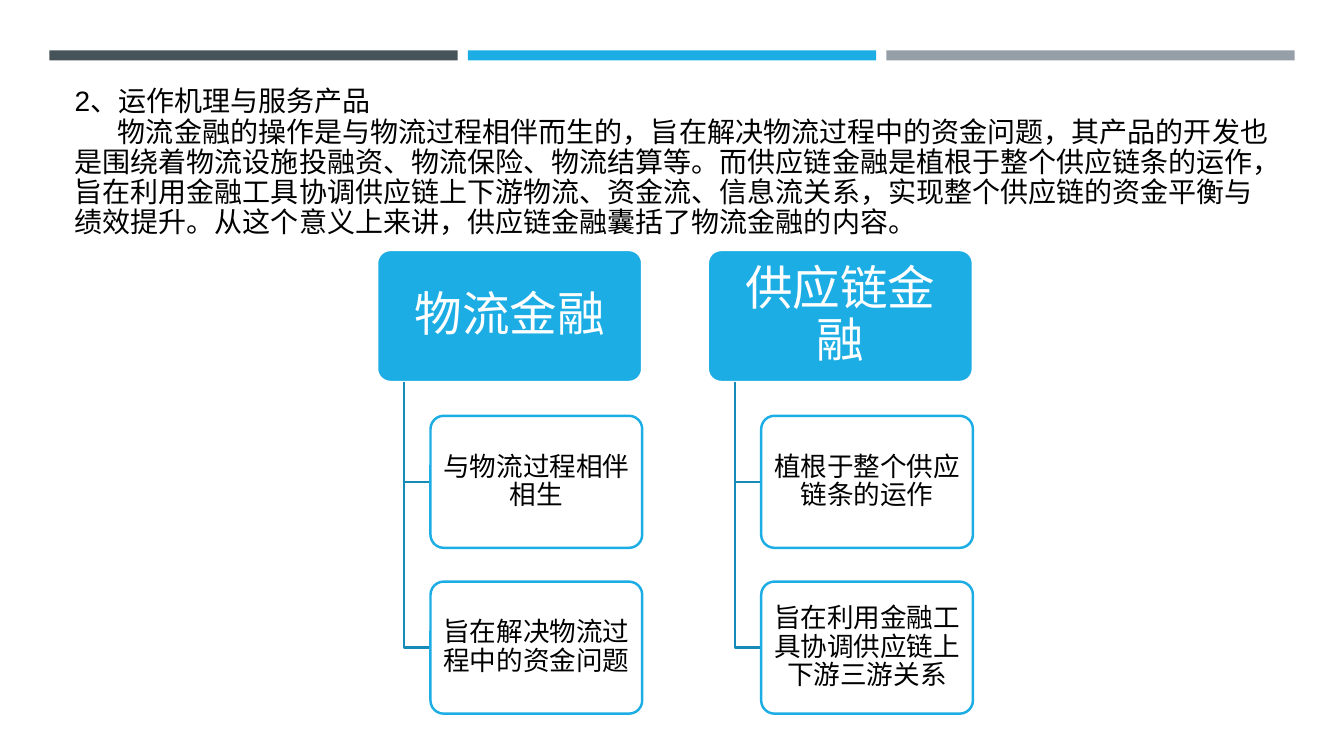
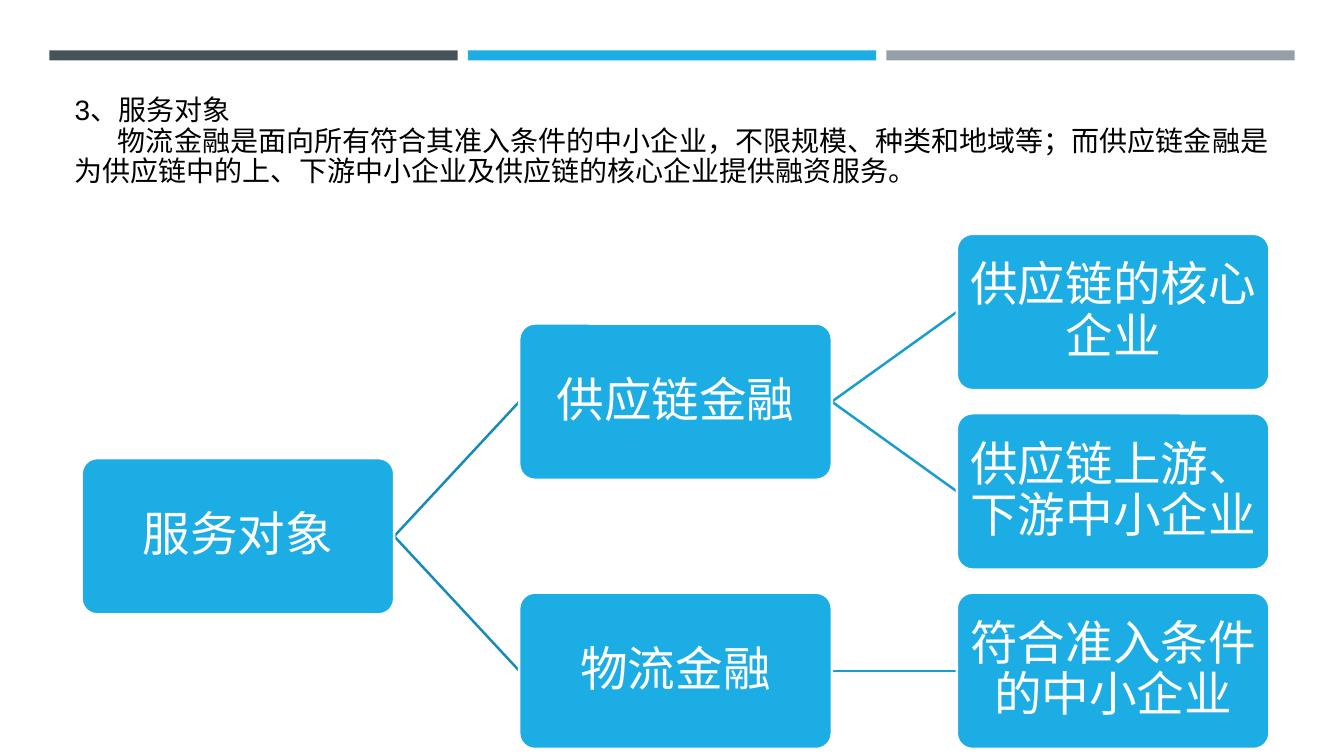
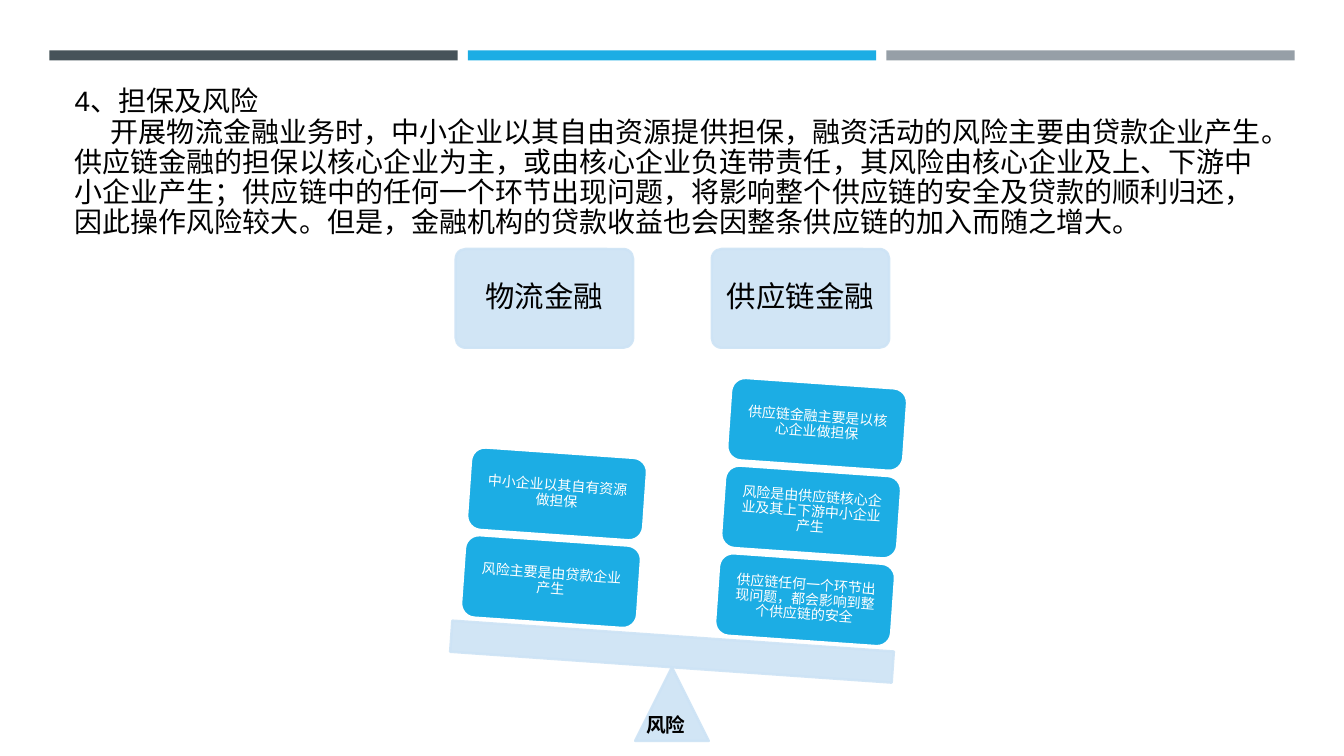
from dataclasses import dataclass

from lxml import etree
from pptx import Presentation
from pptx import util as u
from pptx.dml.color import RGBColor
from pptx.enum import lang, shapes, text
from pptx.oxml.ns import qn

WIDE, HIGH = 13.33, 7.5
BLUE, DARK, GRAY, PALE = "1CADE4", "465359", "969FA7", "CDE3F5"
DEEP, MID, WHITE, BLACK = "168BB7", "199DCF", "FFFFFF", "000000"
RULE = 1.75
KIND = shapes.MSO_SHAPE


@dataclass(frozen=True)
class Style:
    fill: str
    edge: str
    ink: str = WHITE
    size: int = 34
    inset: float = 0.08
    alpha: int = 100
    edge_alpha: int = 100
    round: float = 0.1
    turn: float = 0


@dataclass(frozen=True)
class Node:
    col: int
    row: float
    words: str
    kids: tuple = ()


HEAD = Style(BLUE, WHITE, inset=0.11)
ITEM = Style(WHITE, BLUE, BLACK, 19, alpha=90)
LEAF = Style(BLUE, WHITE, inset=0.07)
PAN = Style(PALE, PALE, BLACK, 21, inset=0.12, alpha=90, edge_alpha=90)
BEAM = Style(PALE, PALE, alpha=90, edge_alpha=90, turn=4)
LOAD = Style(BLUE, WHITE, size=10, round=0.17, turn=4)

GROUPS = (
    ("物流金融", ("与物流过程相伴相生", "旨在解决物流过程中的资金问题")),
    ("供应链金融", ("植根于整个供应链条的运作", "旨在利用金融工具协调供应链上下游三游关系")),
)

TREE = Node(0, 1.25, "服务对象", (
    Node(1, 0.5, "供应链金融", (
        Node(2, 0, "供应链的核心企业"),
        Node(2, 1, "供应链上游、下游中小企业"),
    )),
    Node(1, 2, "物流金融", (Node(2, 2, "符合准入条件的中小企业"),)),
))

STACKS = (
    ("物流金融", 5.36, ("风险主要是由贷款企业产生", "中小企业以其自有资源做担保")),
    ("供应链金融", 5.54, ("供应链任何一个环节出现问题，都会影响到整个供应链的安全",
                      "风险是由供应链核心企业及其上下游中小企业产生",
                      "供应链金融主要是以核心企业做担保")),
)


def paint(fill, tone: str, alpha: int = 100) -> None:
    fill.solid()
    fill.fore_color.rgb = RGBColor.from_string(tone)
    if alpha < 100:
        for node in fill._xPr.iter(qn("a:srgbClr")):
            if node.getparent().getparent() is fill._xPr:
                etree.SubElement(node, qn("a:alpha")).set("val", str(alpha * 1000))


def write(para, words: str, size: int, tone: str, font: str = "Karla", bold: bool = False) -> None:
    run = para.add_run()
    run.text = words
    face = run.font
    face.name, face.size, face.bold = font, u.Pt(size), bold
    face.language_id = lang.MSO_LANGUAGE_ID.SIMPLIFIED_CHINESE
    paint(face.fill, tone)


def pad(frame, inset: float) -> None:
    frame.margin_left = frame.margin_right = u.Inches(inset)
    frame.margin_top = frame.margin_bottom = u.Inches(inset)


def box(slide, kind, at: tuple, style: Style, words: str = ""):
    shape = slide.shapes.add_shape(kind, *map(u.Inches, at))
    shape.shadow.inherit = False
    shape.rotation = style.turn
    if kind == KIND.ROUNDED_RECTANGLE:
        shape.adjustments[0] = style.round
    paint(shape.fill, style.fill, style.alpha)
    paint(shape.line.fill, style.edge, style.edge_alpha)
    shape.line.width = u.Pt(RULE)
    if words:
        frame = shape.text_frame
        frame.word_wrap = True
        frame.vertical_anchor = text.MSO_ANCHOR.MIDDLE
        pad(frame, style.inset)
        para = frame.paragraphs[0]
        para.alignment = text.PP_ALIGN.CENTER
        para.line_spacing = 0.9
        write(para, words, style.size, style.ink)
    return shape


def link(slide, start: tuple, end: tuple, tone: str) -> None:
    line = slide.shapes.add_connector(
        shapes.MSO_CONNECTOR.STRAIGHT, *map(u.Inches, start + end))
    paint(line.line.fill, tone)
    line.line.width = u.Pt(RULE)
    etree.SubElement(line.element.spPr, qn("a:effectLst"))


def elbow(slide, x: float, top: float, end: tuple) -> None:
    """Draw a line down from (x, top), then across to end."""
    pen = slide.shapes.build_freeform(u.Inches(x), u.Inches(top))
    spots = [(u.Inches(x), u.Inches(end[1])), tuple(map(u.Inches, end))]
    pen.add_line_segments(spots, close=False)
    line = pen.convert_to_shape()
    line.shadow.inherit = False
    line.fill.background()
    paint(line.line.fill, DEEP)
    line.line.width = u.Pt(RULE)


def bands(slide, layout) -> None:
    """Draw the three top bands and move them to the layout."""
    for col, tone in enumerate((DARK, BLUE, GRAY)):
        bar = box(slide, KIND.RECTANGLE, (0.49 + 4.15 * col, 0.5, 4.05, 0.1), Style(tone, tone))
        bar.line.fill.background()
        bar.element.xpath(".//p:cNvPr")[0].set("id", str(20 + col))
        layout.shapes.element.append(bar.element)


def start(deck, layout, head: str, body: str, tall: float, indent: float):
    """Add a slide whose title holds a heading and an indented passage."""
    slide = deck.slides.add_slide(layout)
    title = slide.shapes.title
    title.left, title.top, title.width, title.height = map(u.Inches, (0.64, 0.32, 12.06, tall))
    frame = title.text_frame
    frame.word_wrap = True
    frame.auto_size = text.MSO_AUTO_SIZE.NONE
    frame.vertical_anchor = text.MSO_ANCHOR.BOTTOM
    for para, words in ((frame.paragraphs[0], head), (frame.add_paragraph(), body)):
        para.alignment = text.PP_ALIGN.LEFT
        para.line_spacing = 0.9
        write(para, words, 20, BLACK, "Arial")
    para._p.get_or_add_pPr().set("indent", str(u.Inches(indent)))
    return slide


def lists(slide) -> None:
    top, tall, step = 2.48, 1.31, 1.645
    for col, (head, items) in enumerate(GROUPS):
        x = 3.74 + 3.28 * col
        box(slide, KIND.ROUNDED_RECTANGLE, (x, top, 2.63, tall), HEAD, head)
        for row, words in enumerate(items, 1):
            y = top + step * row
            elbow(slide, x + 0.27, top + tall, (x + 0.53, y + tall / 2))
            box(slide, KIND.ROUNDED_RECTANGLE, (x + 0.53, y, 2.1, tall), ITEM, words)


def tree(slide, node: Node) -> None:
    wide, tall = 3.1, 1.55

    def spot(item: Node) -> tuple:
        return 0.81 + 4.34 * item.col, 2.32 + 1.78 * item.row

    x, y = spot(node)
    for kid in node.kids:
        left, top = spot(kid)
        link(slide, (x + wide, y + tall / 2), (left, top + tall / 2), MID if node.col else DEEP)
        tree(slide, kid)
    box(slide, KIND.ROUNDED_RECTANGLE, (x, y, wide, tall), LEAF, node.words)


def scale(slide) -> None:
    box(slide, KIND.ISOSCELES_TRIANGLE, (6.3, 6.62, 0.73, 0.73), PAN)
    box(slide, KIND.RECTANGLE, (4.47, 6.31, 4.39, 0.31), BEAM)
    for col, (head, base, loads) in enumerate(STACKS):
        box(slide, KIND.ROUNDED_RECTANGLE, (4.52 + 2.54 * col, 2.47, 1.76, 0.98), PAN, head)
        for row, words in enumerate(loads):
            at = (4.59 + 2.52 * col + 0.06 * row, base - 0.87 * row, 1.75, 0.82)
            box(slide, KIND.ROUNDED_RECTANGLE, at, LOAD, words)
    label = slide.shapes.add_textbox(*map(u.Inches, (6.27, 7.02, 0.87, 0.34)))
    frame = label.text_frame
    frame.word_wrap = True
    pad(frame, 0.05)
    frame.margin_left = u.Inches(0.14)
    write(frame.paragraphs[0], "风险", 14, BLACK, "Noto Sans CJK SC", True)


def main() -> None:
    deck = Presentation()
    deck.slide_width, deck.slide_height = u.Inches(WIDE), u.Inches(HIGH)
    layout = deck.slide_layouts.get_by_name("Title Only")

    slide = start(
        deck, layout, "2、运作机理与服务产品",
        "物流金融的操作是与物流过程相伴而生的，旨在解决物流过程中的资金问题，其产品的开发也是"
        "围绕着物流设施投融资、物流保险、物流结算等。而供应链金融是植根于整个供应链条的运作，"
        "旨在利用金融工具协调供应链上下游物流、资金流、信息流关系，实现整个供应链的资金平衡与"
        "绩效提升。从这个意义上来讲，供应链金融囊括了物流金融的内容。", 2.1, 0.43)
    bands(slide, layout)
    lists(slide)

    slide = start(
        deck, layout, "3、服务对象",
        "物流金融是面向所有符合其准入条件的中小企业，不限规模、种类和地域等；而供应链金融是"
        "为供应链中的上、下游中小企业及供应链的核心企业提供融资服务。", 1.59, 0.43)
    tree(slide, TREE)

    slide = start(
        deck, layout, "4、担保及风险",
        "开展物流金融业务时，中小企业以其自由资源提供担保，融资活动的风险主要由贷款企业产生。"
        "供应链金融的担保以核心企业为主，或由核心企业负连带责任，其风险由核心企业及上、下游中"
        "小企业产生；供应链中的任何一个环节出现问题，将影响整个供应链的安全及贷款的顺利归还，"
        "因此操作风险较大。但是，金融机构的贷款收益也会因整条供应链的加入而随之增大。", 2.1, 0.36)
    scale(slide)

    deck.save("out.pptx")


if __name__ == "__main__":
    main()
